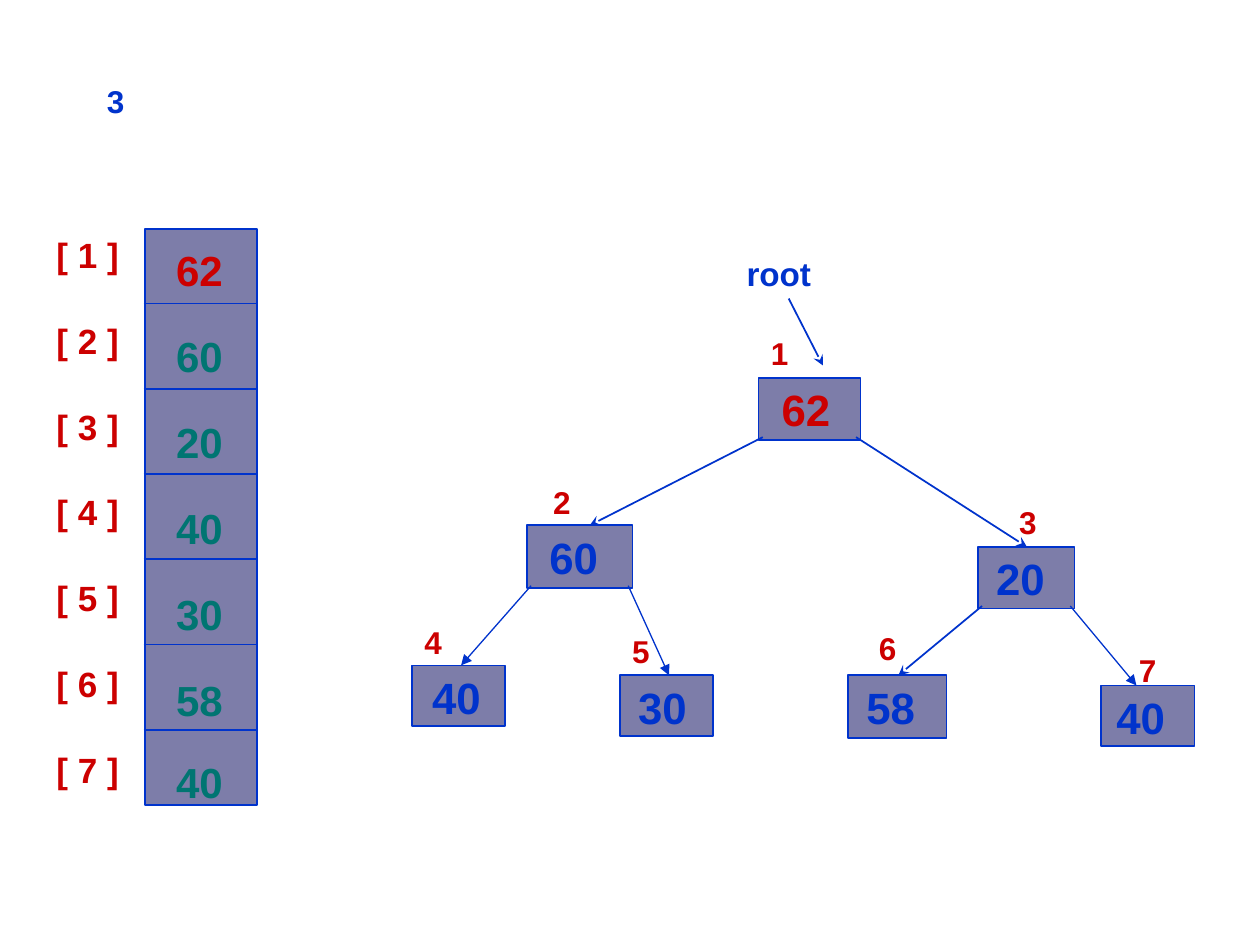
from collections import namedtuple
from lxml import etree
from pptx import Presentation
from pptx.dml.color import RGBColor
from pptx.enum import shapes, text
from pptx.oxml import ns
from pptx.util import Pt

COLORS = {"blue": "0033CC", "red": "CC0000", "green": "007572", "cell": "7D7DA9"}
FONT = "Arial"

# Position within the tree; value inset, index offset and arrow tip within the node
Node = namedtuple("Node", "value x y w h inset index_dx index_dy tip_dx")
NODES = [
    Node("62", 217.4, 72, 58.3, 35.3, 13.3, 0, -28.8, 0),
    Node("60", 85, 156.2, 60.5, 36, 13, 8, -28, 36),
    Node("20", 342.7, 168.5, 55.4, 35.3, 10.5, 16.6, -28.8, 28.1),
    Node("40", 19.4, 236.2, 53.3, 34.6, 11.5, 0, -28, 28.1),
    Node("30", 138.2, 241.9, 53.3, 34.6, 10.5, 0, -28, 28.1),
    Node("58", 268.6, 241.9, 56.2, 36, 10.5, 10.5, -30.2, 28.8),
    Node("40", 413.3, 247.7, 53.3, 34.6, 8.7, 14.4, -23, 20.1),
]
THIN_EDGES = {3, 4, 6}


def rgb(name):
    return RGBColor.from_string(COLORS[name])


def add_run(paragraph, words, size, color):
    run = paragraph.add_run()
    run.text = words
    run.font.name = FONT
    run.font.size = Pt(size)
    run.font.bold = True
    run.font.color.rgb = rgb(color)


def set_frame(frame, left=7.2, top=3.6):
    frame.word_wrap = False
    frame.vertical_anchor = text.MSO_ANCHOR.TOP
    frame.margin_left, frame.margin_right = Pt(left), Pt(0)
    frame.margin_top, frame.margin_bottom = Pt(top), Pt(0)


def add_text(slide, x, y, w, h, lines, size, colors, gaps):
    """Text box with one paragraph per line; gaps are the spaces before them."""
    frame = slide.shapes.add_textbox(Pt(x), Pt(y), Pt(w), Pt(h)).text_frame
    set_frame(frame)
    for i, (line, color, gap) in enumerate(zip(lines, colors, gaps)):
        paragraph = frame.add_paragraph() if i else frame.paragraphs[0]
        paragraph.alignment = text.PP_ALIGN.LEFT
        if i:
            paragraph.space_before = Pt(gap)
        add_run(paragraph, line, size, color)


def add_label(slide, x, y, w, words, size, color):
    add_text(slide, x, y, w, 28.8, [words], size, [color], [0])


def add_cell(slide, x, y, w, h):
    cell = slide.shapes.add_shape(shapes.MSO_SHAPE.RECTANGLE, Pt(x), Pt(y), Pt(w), Pt(h))
    cell.shadow.inherit = False
    cell.fill.solid()
    cell.fill.fore_color.rgb = rgb("cell")
    cell.line.color.rgb = rgb("blue")
    cell.line.width = Pt(1)
    return cell


def add_line(slide, x1, y1, x2, y2, width=1, arrow=None):
    line = slide.shapes.add_connector(
        shapes.MSO_CONNECTOR.STRAIGHT, Pt(x1), Pt(y1), Pt(x2), Pt(y2))
    line.line.color.rgb = rgb("blue")
    line.line.width = Pt(width)
    if arrow:
        etree.SubElement(line.line._get_or_add_ln(), ns.qn("a:tailEnd"), type=arrow)
    etree.SubElement(line._element.spPr, ns.qn("a:effectLst"))


def add_array(slide, x, y, w, h):
    """Heap stored as an array, with its indexes to the left."""
    first_row, row = 42.5, 48.7
    add_cell(slide, x, y, w, h)
    for i in range(len(NODES) - 1):
        rule_y = y + first_row + i * row
        add_line(slide, x - 0.7, rule_y, x + w, rule_y)

    count = len(NODES)
    indexes = [f"[ {i} ]" for i in range(1, count + 1)]
    add_text(slide, x - 57.6, y - 1.3, 50.4, 316, indexes, 20, ["red"] * count,
             [25.1] * count)
    add_text(slide, x + 10.8, y + 5.1, 41, 322, [node.value for node in NODES], 24,
             ["red"] + ["green"] * (count - 1), [20.4] * (count - 1) + [18.1])


def add_node(slide, left, top, number, node):
    x, y = left + node.x, top + node.y
    color = "red" if number == 1 else "blue"
    cell = add_cell(slide, x, y, node.w, node.h)
    set_frame(cell.text_frame, node.inset, 2.9)
    paragraph = cell.text_frame.paragraphs[0]
    paragraph.alignment = text.PP_ALIGN.LEFT
    add_run(paragraph, node.value, 25, color)
    add_label(slide, x + node.index_dx, y + node.index_dy, 24.5, str(number), 18, "red")


def add_tree(slide, left, top):
    for number, node in enumerate(NODES, 1):
        add_node(slide, left, top, number, node)

    for i, child in enumerate(NODES[1:], 1):
        parent = NODES[(i - 1) // 2]
        is_left = i % 2 == 1
        start_x = parent.x + (2.5 if is_left else parent.w - 2.5)
        thin = i in THIN_EDGES
        add_line(slide, left + start_x, top + parent.y + parent.h - 1.5,
                 left + child.x + child.tip_dx, top + child.y,
                 0.75 if thin else 1, "triangle" if thin else "stealth")

    add_label(slide, left + 203.5, top - 2.8, 65, "root", 19, "blue")
    add_line(slide, left + 234.7, top + 26.6, left + 254.2, top + 64.8, arrow="stealth")


def main():
    deck = Presentation()
    deck.slide_width, deck.slide_height = Pt(720), Pt(540)
    slide = deck.slides.add_slide(deck.slide_layouts[6])
    add_label(slide, 54, 43.2, 90.7, "3", 18, "blue")
    add_array(slide, 82.8, 131, 64, 329)
    add_tree(slide, 216, 144)
    deck.save("out.pptx")


if __name__ == "__main__":
    main()
